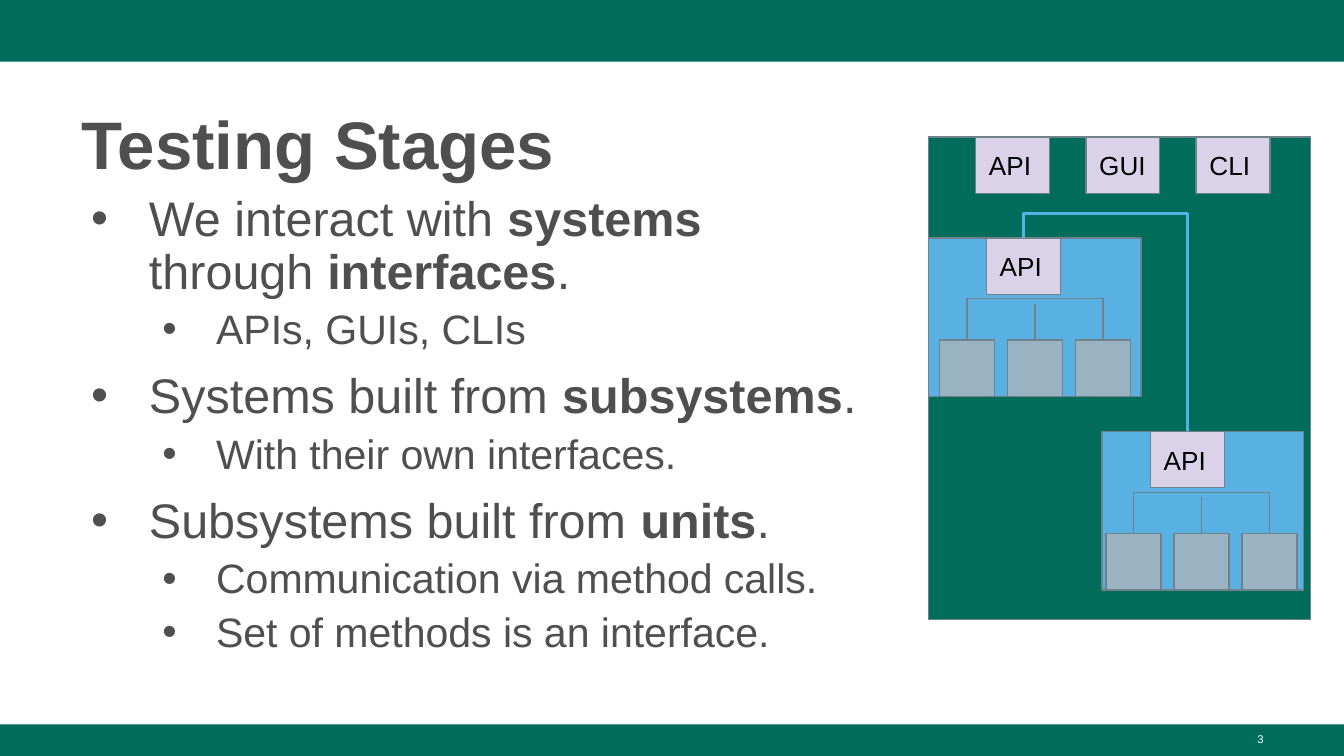
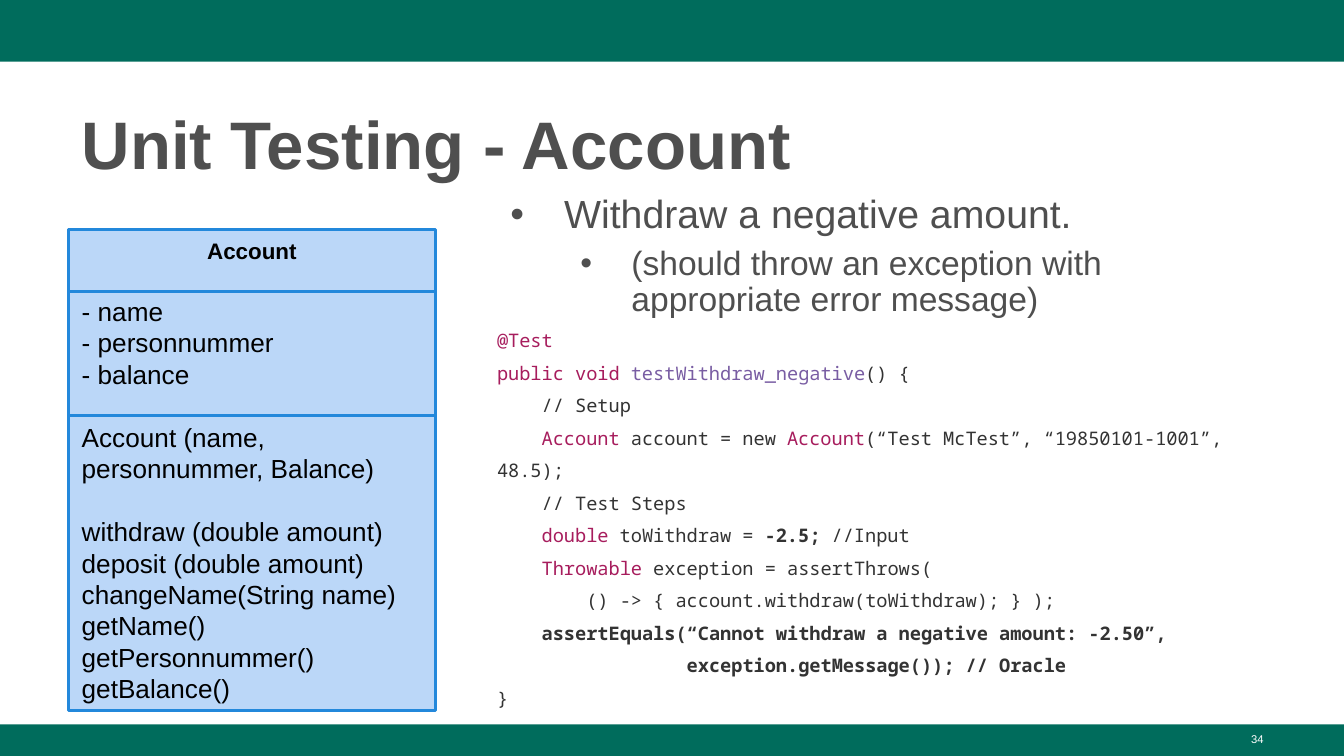
from lxml import etree
from pptx import Presentation
from pptx.dml.color import RGBColor
from pptx.enum.shapes import MSO_CONNECTOR as Connector, MSO_SHAPE as Shape
from pptx.enum.text import MSO_ANCHOR as Anchor, PP_ALIGN as Align
from pptx.oxml.ns import qn
from pptx.util import Inches, Pt

WIDTH = 10
HEIGHT = WIDTH * 9 / 16
GREEN = RGBColor(0x00, 0x6C, 0x5C)
TEXT_GREY = RGBColor(0x4F, 0x4F, 0x4F)
WHITE = RGBColor(0xFF, 0xFF, 0xFF)
BLACK = RGBColor(0x00, 0x00, 0x00)
LILAC = RGBColor(0xD9, 0xD2, 0xE9)
SKY = RGBColor(0x58, 0xB0, 0xE3)
UNIT_GREY = RGBColor(0x99, 0xB3, 0xC2)
OUTLINE = RGBColor(0x6F, 0x82, 0x8C)
CLASS_FILL = RGBColor(0xBB, 0xD7, 0xF8)
CLASS_LINE = RGBColor(0x23, 0x88, 0xDB)
KEYWORD = RGBColor(0xA7, 0x1D, 0x5D)
FUNCTION = RGBColor(0x79, 0x5D, 0xA3)
CODE_GREY = RGBColor(0x33, 0x33, 0x33)

SANS, MONO = "Arial", "Noto Sans Mono"
TITLE_FONT = {"name": SANS, "size": Pt(36), "color": TEXT_GREY, "bold": True}
BODY_FONT = {"name": SANS, "color": TEXT_GREY}
FOOTER_FONT = {"name": SANS, "size": Pt(6), "color": WHITE}
LABEL_FONT = {"name": SANS, "size": Pt(14), "color": BLACK}
CLASS_NAME_FONT = {**LABEL_FONT, "size": Pt(12), "bold": True}
CODE_FONT = {"name": MONO, "size": Pt(10), "color": CODE_GREY}

API_WIDTH, BOX_HEIGHT = 0.55, 0.42
UNIT_WIDTH, UNIT_SPAN = 0.41, 1.01

STAGES = [
    (0, "We interact with **systems** through** interfaces**."),
    (1, "APIs, GUIs, CLIs"),
    (0, "Systems built from **subsystems**."),
    (1, "With their own interfaces."),
    (0, "Subsystems built from **units**."),
    (1, "Communication via method calls."),
    (1, "Set of methods is an interface."),
]
WITHDRAW = [
    (0, "Withdraw a negative amount."),
    (1, "(should throw an exception with appropriate error message)"),
]
KEY, NAME, BOLD = {"color": KEYWORD}, {"color": FUNCTION}, {"bold": True}
CODE = [
    [("@Test", KEY)],
    [("public void ", KEY), ("testWithdraw_negative", NAME), ("() {", {})],
    [("    // Setup", {})],
    [("    Account", KEY), (" account = new ", {}), ("Account", KEY),
     ("(“Test McTest”, “19850101-1001”, 48.5);", {})],
    [("    // Test Steps", {})],
    [("    double", KEY), (" toWithdraw = ", {}), ("-2.5;", BOLD), (" //Input", {})],
    [("    Throwable", KEY), (" exception = assertThrows(", {})],
    [("        () -> { account.withdraw(toWithdraw); } );", {})],
    [("    assertEquals(“Cannot withdraw a negative amount: -2.50”,", BOLD)],
    [("                 exception.getMessage()); // Oracle", BOLD)],
    [("}", {})],
]
ACCOUNT_GROUPS = [
    ["- name", "- personnummer", "- balance"],
    ["Account (name, personnummer, Balance)"],
    ["withdraw (double amount)", "deposit (double amount)",
     "changeName(String name)", "getName()", "getPersonnummer()", "getBalance()"],
]


def set_font(font, values):
    for key, value in values.items():
        if key == "color":
            font.color.rgb = value
        else:
            setattr(font, key, value)


def add_run(paragraph, text, values):
    run = paragraph.add_run()
    run.text = text
    set_font(run.font, values)


def set_frame(frame, anchor, margin_y):
    values = {"word_wrap": True, "vertical_anchor": anchor,
              "margin_left": Inches(0.1), "margin_right": Inches(0.1),
              "margin_top": Inches(margin_y), "margin_bottom": Inches(margin_y)}
    for key, value in values.items():
        setattr(frame, key, value)


def next_paragraph(frame):
    """Return the empty first paragraph, or a new one once that is filled."""
    first = frame.paragraphs[0]
    return frame.add_paragraph() if first.runs else first


def add_textbox(slide, left, top, width, height, anchor=Anchor.TOP):
    box = slide.shapes.add_textbox(*map(Inches, (left, top, width, height)))
    set_frame(box.text_frame, anchor, 0.05)
    return box.text_frame


def add_box(slide, left, top, width, height, fill, line=OUTLINE, line_width=0.75):
    shape = slide.shapes.add_shape(
        Shape.RECTANGLE, *map(Inches, (left, top, width, height)))
    shape.shadow.inherit = False
    shape.fill.solid()
    shape.fill.fore_color.rgb = fill
    if line is None:
        shape.line.fill.background()
    else:
        shape.line.color.rgb = line
        shape.line.width = Pt(line_width)
    set_frame(shape.text_frame, Anchor.MIDDLE, 0.1)
    return shape


def add_line(slide, start, end, color, width, kind=Connector.STRAIGHT):
    line = slide.shapes.add_connector(kind, *map(Inches, (*start, *end)))
    line.line.color.rgb = color
    line.line.width = Pt(width)
    etree.SubElement(line._element.spPr, qn("a:effectLst"))
    return line


def add_bracket(slide, start, end, rise, color, width):
    """Join two points by an elbow that runs the given rise above the first."""
    (x1, y1), (x2, y2) = start, end
    middle_x, middle_y = (x1 + x2) / 2, (y1 + y2) / 2
    drop, span = max(y2 - y1, 0.001), x2 - x1
    bracket = add_line(
        slide, (middle_x + drop / 2, middle_y - span / 2),
        (middle_x - drop / 2, middle_y + span / 2), color, width, Connector.ELBOW)
    properties = bracket._element.spPr
    properties.find(qn("a:xfrm")).set("rot", str(270 * 60000))
    geometry = properties.find(qn("a:prstGeom"))
    guide = etree.SubElement(geometry.find(qn("a:avLst")), qn("a:gd"))
    guide.set("name", "adj1")
    guide.set("fmla", f"val {round(-rise / drop * 100000)}")


def add_bullets(frame, items, sizes, hangs):
    for level, text in items:
        paragraph = next_paragraph(frame)
        properties = paragraph._p.get_or_add_pPr()
        properties.set("marL", str(Inches(0.5 + 0.5 * level)))
        properties.set("indent", str(-Inches(hangs[level])))
        color = etree.SubElement(properties, qn("a:buClr"))
        etree.SubElement(color, qn("a:srgbClr")).set("val", str(TEXT_GREY))
        etree.SubElement(properties, qn("a:buFont")).set("typeface", SANS)
        etree.SubElement(properties, qn("a:buChar")).set("char", "•")
        paragraph.level = level
        paragraph.line_spacing = 0.9
        if paragraph._p is not frame.paragraphs[0]._p:
            paragraph.space_before = Pt(5 if level else 10)
        for index, part in enumerate(text.split("**")):
            add_run(paragraph, part, {**BODY_FONT, "size": Pt(sizes[level]),
                                      "bold": index % 2 == 1})


def add_code(frame, lines):
    for parts in lines:
        paragraph = next_paragraph(frame)
        paragraph.line_spacing = 1.45
        for text, values in parts:
            add_run(paragraph, text, {**CODE_FONT, **values})


def add_base_slide(presentation, title, number):
    """Add a slide with its bands, title and page number."""
    slide = presentation.slides.add_slide(presentation.slide_layouts[6])
    add_box(slide, 0, 0, WIDTH, 0.46, GREEN, None)
    add_box(slide, 0, 5.39, WIDTH, HEIGHT - 5.39, GREEN, None)
    heading = add_textbox(slide, 0.51, 0.67, 8.99, 0.73, Anchor.MIDDLE).paragraphs[0]
    heading.line_spacing = 1.08
    add_run(heading, title, TITLE_FONT)
    footer = add_textbox(slide, 7.17, 5.4, 2.33, 0.23).paragraphs[0]
    footer.alignment = Align.RIGHT
    add_run(footer, str(number), FOOTER_FONT)
    return slide


def add_interface(slide, left, top, label):
    box = add_box(slide, left, top, API_WIDTH, BOX_HEIGHT, LILAC)
    paragraph = box.text_frame.paragraphs[0]
    paragraph.alignment = Align.LEFT
    add_run(paragraph, label, LABEL_FONT)


def add_subsystem(slide, left, top, width, api_offset, unit_offset):
    """Draw a subsystem and return the top centre of its interface."""
    add_box(slide, left, top, width, 1.18, SKY)
    add_interface(slide, left + api_offset, top, "API")
    unit_top = top + 0.76
    centers = []
    for index in range(3):
        unit_left = left + unit_offset + index * UNIT_SPAN / 2
        add_box(slide, unit_left, unit_top, UNIT_WIDTH, BOX_HEIGHT, UNIT_GREY)
        centers.append(unit_left + UNIT_WIDTH / 2)
    add_bracket(slide, (centers[0], unit_top), (centers[2], unit_top),
                0.26, OUTLINE, 0.75)
    add_line(slide, (centers[1], unit_top), (centers[1], unit_top - 0.27),
             OUTLINE, 0.75)
    return left + api_offset + API_WIDTH / 2, top


def add_system(slide, left, top, width, height):
    add_box(slide, left, top, width, height, GREEN)
    for index, label in enumerate(("API", "GUI", "CLI")):
        add_interface(slide, left + 0.35 + index * 0.82, top, label)
    upper = add_subsystem(slide, left, top + 0.75, 1.58, 0.43, 0.08)
    lower = add_subsystem(slide, left + 1.29, top + 2.19, 1.5, 0.36, 0.03)
    add_bracket(slide, upper, lower, 0.18, SKY, 1.5)


def add_class_diagram(slide, left, top, width, height):
    box = add_box(slide, left, top, width, height, CLASS_FILL, CLASS_LINE, 1.5)
    frame = box.text_frame
    heading = frame.paragraphs[0]
    heading.alignment = Align.CENTER
    add_run(heading, "Account", CLASS_NAME_FONT)
    for group in ACCOUNT_GROUPS:
        for index, member in enumerate(group):
            paragraph = frame.add_paragraph()
            paragraph.alignment = Align.LEFT
            if index == 0:
                paragraph.space_before = Pt(17)
            add_run(paragraph, member, LABEL_FONT)
    for offset in (0.46, 1.38):
        add_line(slide, (left, top + offset), (left + width, top + offset),
                 CLASS_LINE, 1.5)


def build_stages_slide(presentation):
    slide = add_base_slide(presentation, "Testing Stages", 3)
    add_bullets(add_textbox(slide, 0.51, 1.4, 6.01, 3.81), STAGES,
                sizes=(26, 22), hangs=(0.43, 0.4))
    add_system(slide, 6.91, 1.02, 2.84, 3.59)


def build_account_slide(presentation):
    slide = add_base_slide(presentation, "Unit Testing - Account", 34)
    body = add_textbox(slide, 3.6, 1.4, 5.9, 3.81)
    add_bullets(body, WITHDRAW, sizes=(21, 18), hangs=(0.4, 0.38))
    add_code(body, CODE)
    add_class_diagram(slide, 0.51, 1.71, 2.73, 3.58)


def main():
    presentation = Presentation()
    presentation.slide_width = Inches(WIDTH)
    presentation.slide_height = Inches(HEIGHT)
    build_stages_slide(presentation)
    build_account_slide(presentation)
    presentation.save("out.pptx")


if __name__ == "__main__":
    main()
